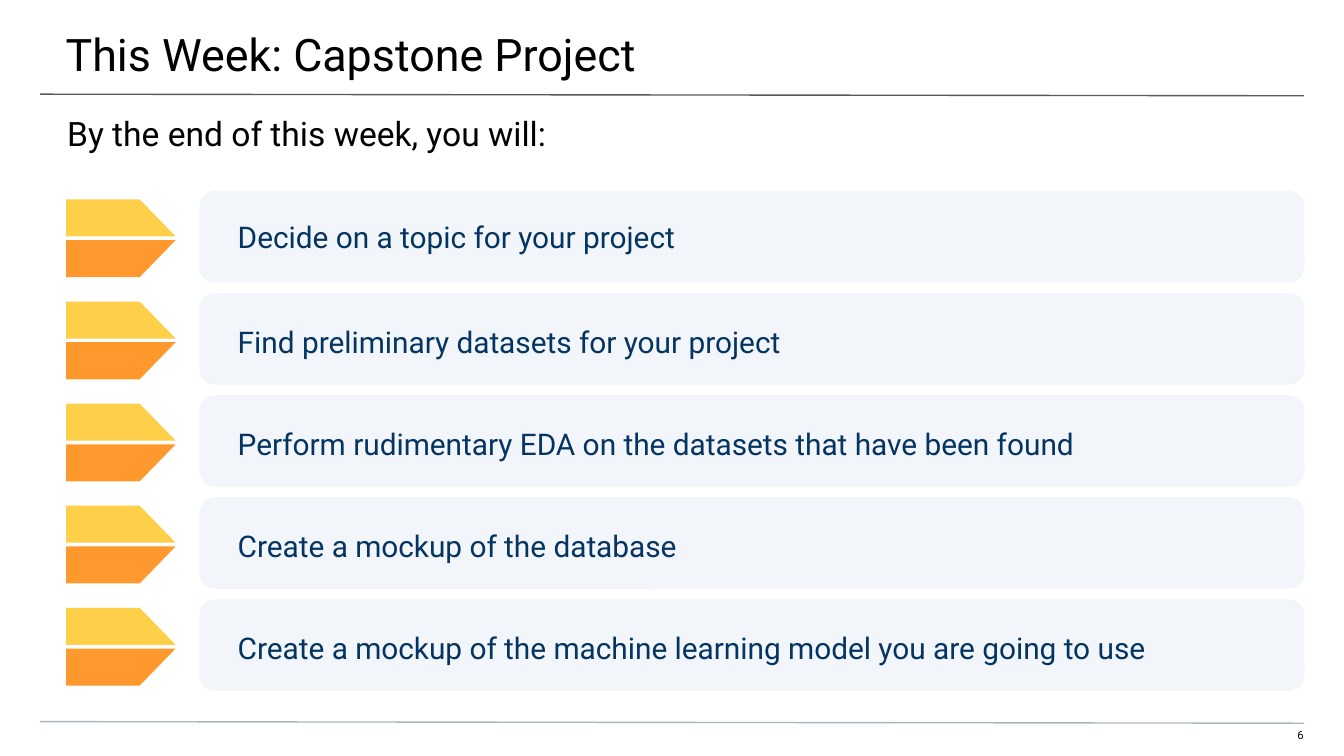
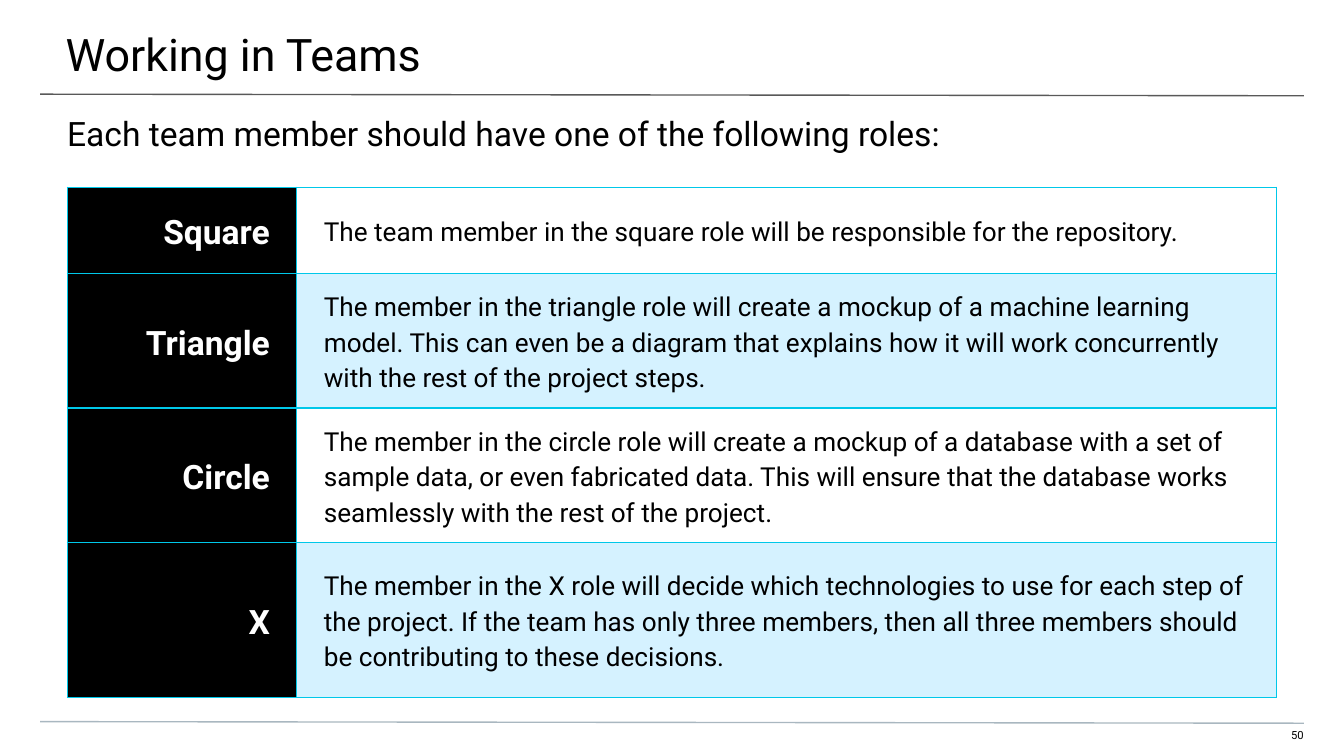
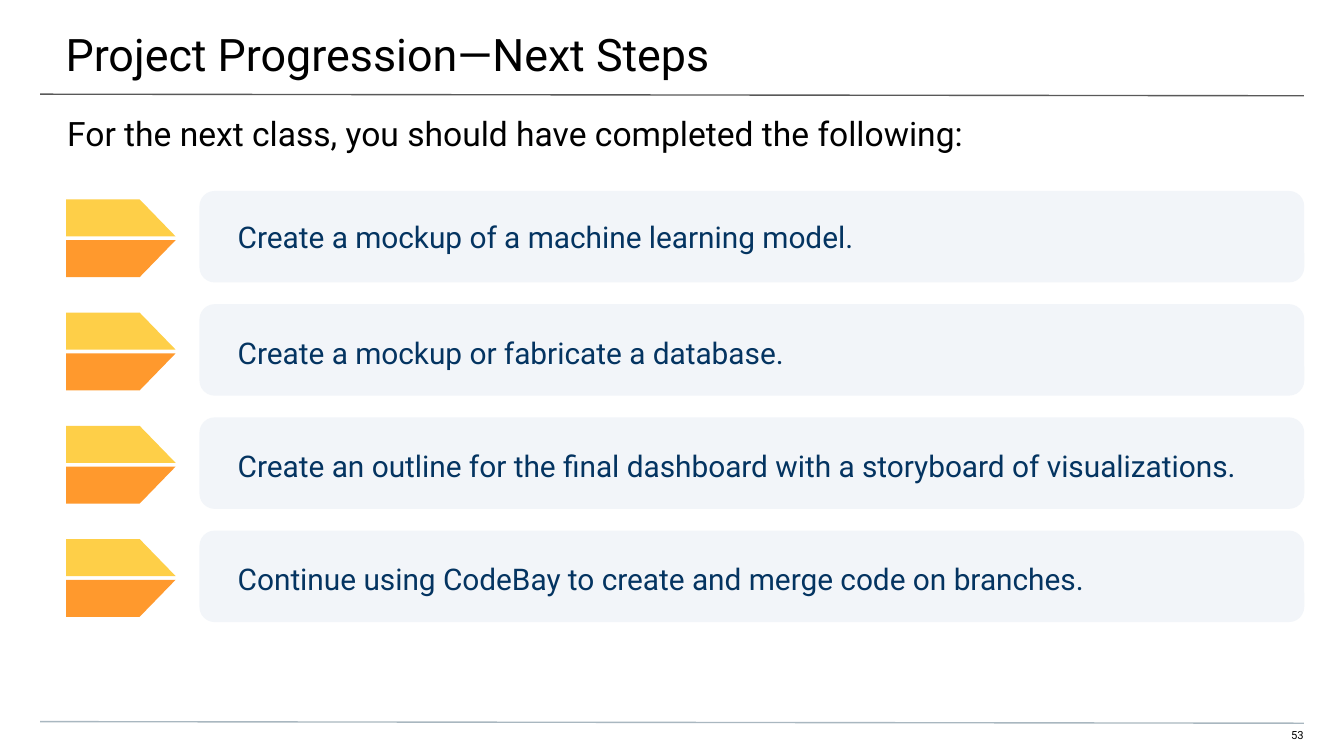
from dataclasses import dataclass

from lxml import etree
from pptx import Presentation
from pptx import util as u
from pptx.dml.color import RGBColor
from pptx.enum import shapes, text
from pptx.oxml.ns import qn

Cm = u.Cm

# Content
GOALS = {
    "title": "This Week: Capstone Project",
    "lead": "By the end of this week, you will:",
    "number": "6",
    "pitch": Cm(1.93),
    "steps": [
        "Decide on a topic for your project",
        "Find preliminary datasets for your project",
        "Perform rudimentary EDA on the datasets that have been found",
        "Create a mockup of the database",
        "Create a mockup of the machine learning model you are going to use",
    ],
}
TEAMS = {
    "title": "Working in Teams",
    "lead": "Each team member should have one of the following roles:",
    "number": "50",
    # role, duty, row height
    "roles": [
        ("Square", "The team member in the square role will be responsible for "
                   "the repository.", Cm(1.63)),
        ("Triangle", "The member in the triangle role will create a mockup of a "
                     "machine learning model. This can even be a diagram that "
                     "explains how it will work concurrently with the rest of "
                     "the project steps.", Cm(2.51)),
        ("Circle", "The member in the circle role will create a mockup of a "
                   "database with a set of sample data, or even fabricated data. "
                   "This will ensure that the database works seamlessly with the "
                   "rest of the project.", Cm(2.53)),
        ("X", "The member in the X role will decide which technologies to use "
              "for each step of the project. If the team has only three members, "
              "then all three members should be contributing to these "
              "decisions.", Cm(2.92)),
    ],
}
NEXT_STEPS = {
    "title": "Project Progression—Next Steps",
    "lead": "For the next class, you should have completed the following:",
    "number": "53",
    "pitch": Cm(2.14),
    "steps": [
        "Create a mockup of a machine learning model.",
        "Create a mockup or fabricate a database.",
        "Create an outline for the final dashboard with a storyboard of visualizations.",
        "Continue using CodeBay to create and merge code on branches.",
    ],
}


@dataclass(frozen=True)
class Theme:
    font: str = "Roboto"
    ink: str = "000000"
    paper: str = "FFFFFF"
    title_rule: str = "595959"
    footer_rule: str = "A9B7C0"
    card: str = "F2F5F9"
    card_ink: str = "043461"
    arrow_upper: str = "FECF48"
    arrow_lower: str = "FF992D"
    grid: str = "00C8E9"
    band: str = "D5F2FF"
    title_size: int = 24
    lead_size: int = 18
    step_size: int = 16
    duty_size: int = 14
    number_size: int = 6
    rule_width: float = 0.75
    leading: float = 1.15


THEME = Theme()
LEFT, RIGHT = Cm(0.76), Cm(24.64)


def rgb(code):
    return RGBColor.from_string(code)


def write(frame, words, size, color, bold=False, align=text.PP_ALIGN.LEFT, leading=None):
    paragraph = frame.paragraphs[0]
    paragraph.alignment = align
    if leading:
        paragraph.line_spacing = leading
    run = paragraph.add_run()
    run.text = words
    run.font.name, run.font.size, run.font.bold = THEME.font, u.Pt(size), bold
    run.font.color.rgb = rgb(color)


def set_insets(holder, left, top, right, bottom):
    holder.margin_left, holder.margin_top = Cm(left), Cm(top)
    holder.margin_right, holder.margin_bottom = Cm(right), Cm(bottom)


def add_label(slide, place, insets, words, size, align=text.PP_ALIGN.LEFT):
    frame = slide.shapes.add_textbox(*map(Cm, place)).text_frame
    frame.word_wrap = True
    set_insets(frame, *insets)
    write(frame, words, size, THEME.ink, align=align)


def add_rule(slide, top, color):
    rule = slide.shapes.add_connector(
        shapes.MSO_CONNECTOR.STRAIGHT, LEFT, Cm(top), RIGHT, Cm(top + 0.03))
    rule.line.color.rgb = rgb(color)
    rule.line.width = u.Pt(THEME.rule_width)
    etree.SubElement(rule._element.spPr, qn("a:effectLst"))


def paint(shape, color):
    shape.shadow.inherit = False
    shape.fill.solid()
    shape.fill.fore_color.rgb = rgb(color)
    shape.line.fill.background()


# Title, lead, rules and page number on every slide
def add_framed_slide(deck, content):
    slide = deck.slides.add_slide(deck.slide_layouts[6])
    slide.background.fill.solid()
    slide.background.fill.fore_color.rgb = rgb(THEME.paper)
    add_label(slide, (23.9, 13.77, 0.74, 0.3), (0, 0, 0, 0.25),
              content["number"], THEME.number_size, text.PP_ALIGN.RIGHT)
    add_rule(slide, 1.78, THEME.title_rule)
    add_rule(slide, 13.64, THEME.footer_rule)
    add_label(slide, (-0.03, 0, 25.48, 1.47), (1.27, 0.51, 0.76, 0.25),
              content["title"], THEME.title_size)
    add_label(slide, (0, 1.88, 25.4, 1.02), (1.27, 0.25, 1.27, 0),
              content["lead"], THEME.lead_size)
    return slide


# Two-tone arrow: the lower half mirrors the upper one
def add_arrow(slide, top):
    left, shoulder, tip = Cm(1.25), Cm(2.64), Cm(3.32)
    half, height = Cm(0.7), Cm(1.47)
    for outer, inner, color in (
            (top, top + half, THEME.arrow_upper),
            (top + height, top + height - half, THEME.arrow_lower)):
        outline = slide.shapes.build_freeform(left, outer)
        outline.add_line_segments([(left, inner), (tip, inner), (shoulder, outer)])
        paint(outline.convert_to_shape(), color)


def add_step_slide(deck, content):
    slide = add_framed_slide(deck, content)
    for row, step in enumerate(content["steps"]):
        top = Cm(3.61) + row * content["pitch"]
        card = slide.shapes.add_shape(
            shapes.MSO_SHAPE.ROUNDED_RECTANGLE, Cm(3.77), top, Cm(20.88), Cm(1.73))
        paint(card, THEME.card)
        frame = card.text_frame
        frame.word_wrap = True
        frame.vertical_anchor = text.MSO_ANCHOR.MIDDLE
        set_insets(frame, 0.64, 0.25, 0.25, 0.25)
        write(frame, step, THEME.step_size, THEME.card_ink,
              leading=THEME.leading if row else None)
        add_arrow(slide, top + Cm(0.16))


def add_borders(cell):
    properties = cell._tc.get_or_add_tcPr()
    for position, side in enumerate(("lnL", "lnR", "lnT", "lnB")):
        border = etree.Element(qn(f"a:{side}"), w=str(u.Pt(THEME.rule_width)))
        fill = etree.SubElement(border, qn("a:solidFill"))
        etree.SubElement(fill, qn("a:srgbClr"), val=THEME.grid)
        properties.insert(position, border)


def fill_cell(cell, words, color, *style):
    cell.fill.solid()
    cell.fill.fore_color.rgb = rgb(color)
    cell.vertical_anchor = text.MSO_ANCHOR.MIDDLE
    set_insets(cell, 0.51, 0.25, 0.51, 0.25)
    write(cell.text_frame, words, *style, THEME.leading)
    add_borders(cell)


def add_team_slide(deck, content):
    slide = add_framed_slide(deck, content)
    roles = content["roles"]
    widths = Cm(4.34), Cm(18.52)
    table = slide.shapes.add_table(
        len(roles), len(widths), Cm(1.27), Cm(3.54), sum(widths),
        sum(height for _, _, height in roles)).table
    table.first_row = table.horz_banding = False
    for column, width in zip(table.columns, widths):
        column.width = width
    for row, (role, duty, height) in enumerate(roles):
        table.rows[row].height = height
        fill_cell(table.cell(row, 0), role, THEME.ink,
                  THEME.lead_size, THEME.paper, True, text.PP_ALIGN.RIGHT)
        fill_cell(table.cell(row, 1), duty, THEME.band if row % 2 else THEME.paper,
                  THEME.duty_size, THEME.ink, False, text.PP_ALIGN.LEFT)


def main():
    deck = Presentation()
    deck.slide_width, deck.slide_height = Cm(25.4), Cm(14.29)
    add_step_slide(deck, GOALS)
    add_team_slide(deck, TEAMS)
    add_step_slide(deck, NEXT_STEPS)
    deck.save("out.pptx")


if __name__ == "__main__":
    main()
